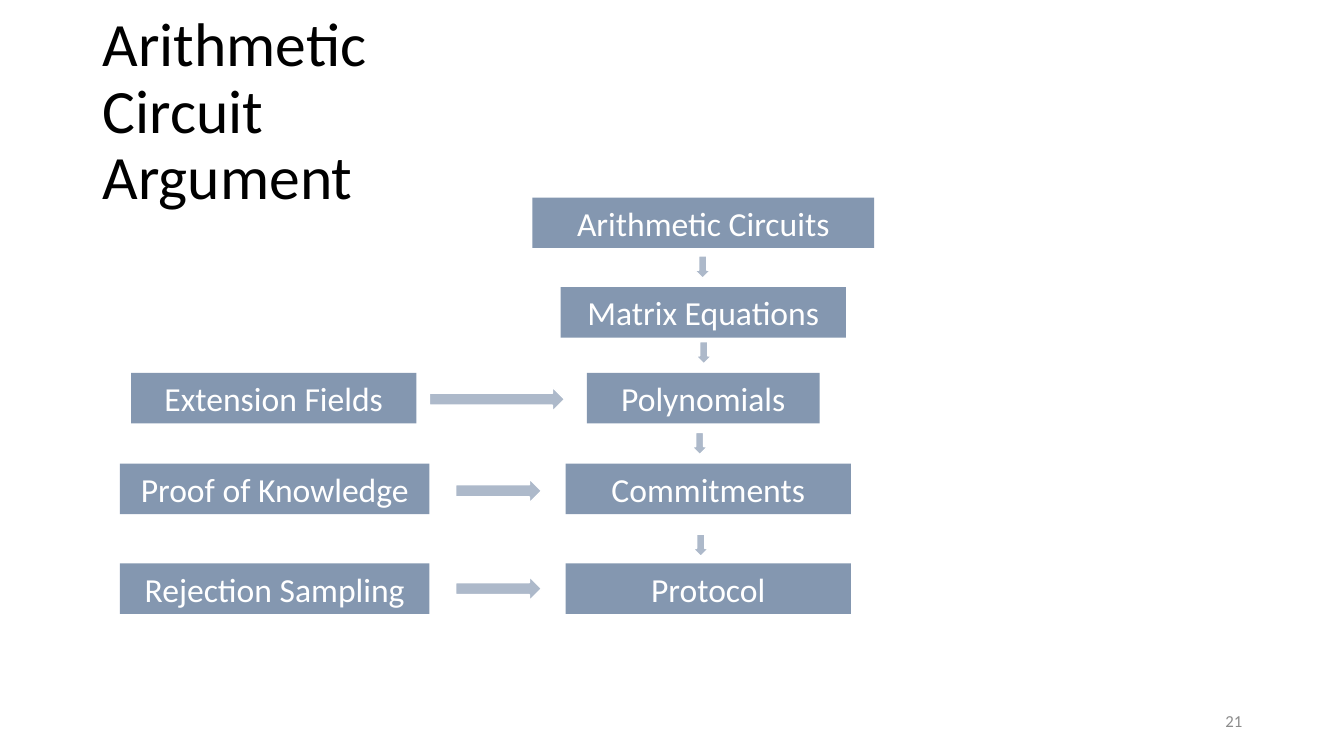
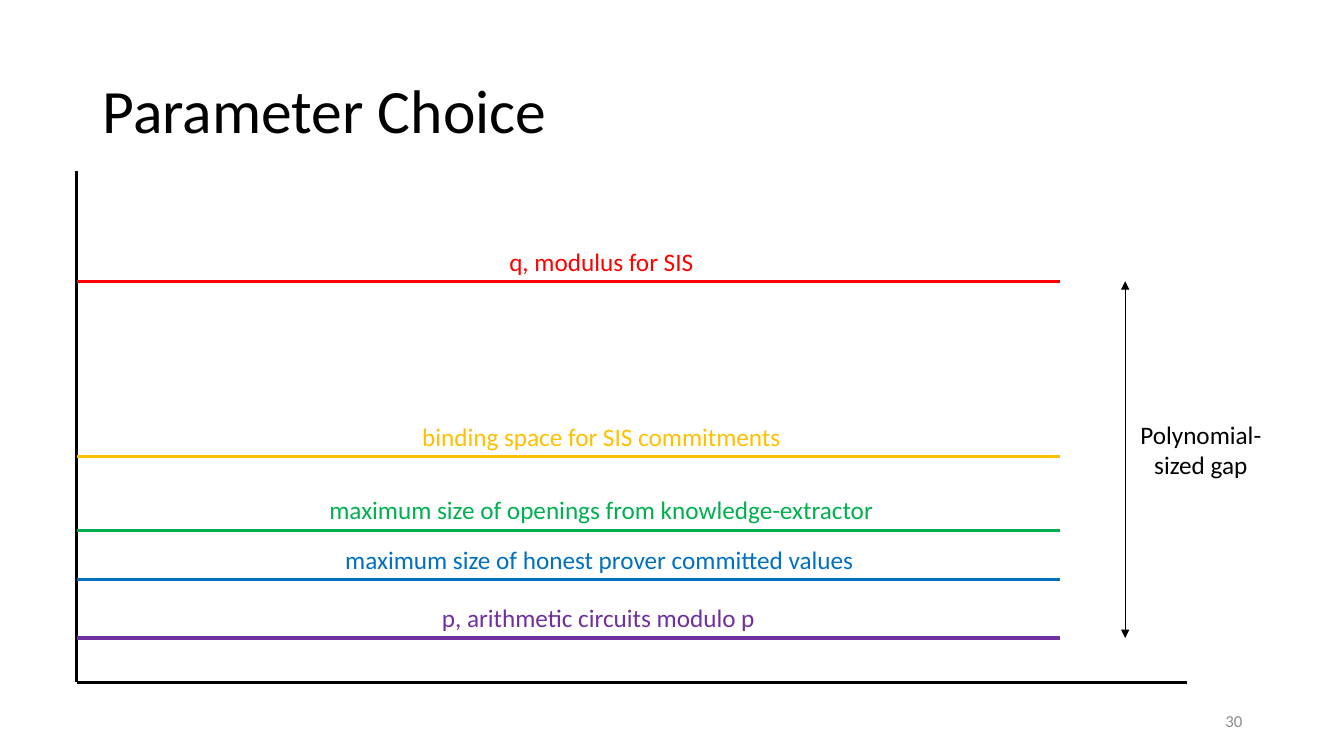
import dataclasses

import lxml.etree
import pptx
import pptx.dml.color
import pptx.enum.shapes
import pptx.enum.text
import pptx.oxml.ns
import pptx.util

Inches = pptx.util.Inches
Shapes = pptx.enum.shapes.MSO_SHAPE
Align = pptx.enum.text.PP_ALIGN
Anchor = pptx.enum.text.MSO_ANCHOR


@dataclasses.dataclass(frozen=True)
class Theme:
    font: str = "Calibri"
    title_size: int = 44
    step_size: int = 24
    label_size: int = 18
    number_size: int = 12
    axis_width: float = 2.25
    thin_width: float = 0.5
    arrow_outline: float = 1
    ink: str = "000000"
    paper: str = "FFFFFF"
    muted: str = "8C8C8C"
    step: str = "8497B0"
    arrow: str = "ADB9CA"
    red: str = "FF0000"
    amber: str = "FFC000"
    green: str = "00B050"
    blue: str = "0070C0"
    purple: str = "7030A0"


@dataclasses.dataclass(frozen=True)
class Box:
    left: float
    top: float
    width: float
    height: float

    def inner(self, left, top, width, height):
        """Return a box whose place is given from this box's corner."""
        return Box(self.left + left, self.top + top, width, height)

    def lengths(self):
        return [Inches(value) for value in dataclasses.astuple(self)]


THEME = Theme()
TITLE_BOX = Box(0.92, 0.4, 11.5, 1.45)
NUMBER_BOX = Box(9.42, 6.95, 3, 0.4)
FLOW_BOX = Box(1.19, 1.96, 7.48, 4.13)
LEVELS_BOX = Box(0.76, 1.7, 11.01, 5.07)


def rgb(color):
    return pptx.dml.color.RGBColor.from_string(color)


def set_text(shape, text, size, color, align=Align.CENTER, anchor=Anchor.TOP, grow=True):
    frame = shape.text_frame
    frame.word_wrap = True
    frame.vertical_anchor = anchor
    auto_size = pptx.enum.text.MSO_AUTO_SIZE
    frame.auto_size = auto_size.SHAPE_TO_FIT_TEXT if grow else auto_size.NONE
    paragraph = frame.paragraphs[0]
    paragraph.text = text
    paragraph.alignment = align
    paragraph.font.name = THEME.font
    paragraph.font.size = pptx.util.Pt(size)
    paragraph.font.color.rgb = rgb(color)
    return paragraph


def add_text(slide, box, *text_arguments, **text_options):
    shape = slide.shapes.add_textbox(*box.lengths())
    return set_text(shape, *text_arguments, **text_options)


def add_filled(slide, kind, box, fill, outline=None):
    shape = slide.shapes.add_shape(kind, *box.lengths())
    shape.shadow.inherit = False
    shape.fill.solid()
    shape.fill.fore_color.rgb = rgb(fill)
    if outline:
        shape.line.color.rgb = rgb(outline)
        shape.line.width = pptx.util.Pt(THEME.arrow_outline)
    else:
        shape.line.fill.background()
    return shape


def add_line(slide, box, color, width, arrowheads=False):
    """Draw a line from the box's top left to its bottom right corner."""
    line = slide.shapes.add_connector(
        pptx.enum.shapes.MSO_CONNECTOR.STRAIGHT,
        Inches(box.left), Inches(box.top),
        Inches(box.left + box.width), Inches(box.top + box.height))
    line.line.color.rgb = rgb(color)
    line.line.width = pptx.util.Pt(width)
    qualified = pptx.oxml.ns.qn
    if arrowheads:
        for end in ("a:headEnd", "a:tailEnd"):
            lxml.etree.SubElement(line.line._get_or_add_ln(), qualified(end), type="triangle")
    lxml.etree.SubElement(line._element.spPr, qualified("a:effectLst"))


def add_titled_slide(presentation, title, number):
    slide = presentation.slides.add_slide(presentation.slide_layouts[6])
    paragraph = add_text(slide, TITLE_BOX, title, THEME.title_size, THEME.ink,
                         align=Align.LEFT, anchor=Anchor.MIDDLE, grow=False)
    paragraph.line_spacing = 0.9
    add_text(slide, NUMBER_BOX, str(number), THEME.number_size, THEME.muted,
             align=Align.RIGHT, anchor=Anchor.MIDDLE, grow=False)
    return slide


def add_flow(slide, box):
    step_height = 0.5
    # text, left, top, width
    steps = [
        ("Arithmetic Circuits", 4.09, 0, 3.39),
        ("Matrix Equations", 4.37, 0.89, 2.83),
        ("Polynomials", 4.63, 1.74, 2.31),
        ("Commitments", 4.42, 2.64, 2.83),
        ("Protocol", 4.42, 3.63, 2.83),
        ("Extension Fields", 0.11, 1.74, 2.83),
        ("Proof of Knowledge", 0, 2.64, 3.07),
        ("Rejection Sampling", 0, 3.63, 3.07),
    ]
    for text, left, top, width in steps:
        shape = add_filled(slide, Shapes.RECTANGLE,
                           box.inner(left, top, width, step_height), THEME.step)
        set_text(shape, text, THEME.step_size, THEME.paper)

    down_arrows = [(5.7, 0.58), (5.71, 1.43), (5.67, 2.33), (5.68, 3.34)]
    right_arrows = [(3.07, 1.88, 1.34), (3.33, 2.79, 0.85), (3.33, 3.76, 0.85)]
    arrows = [(Shapes.DOWN_ARROW, box.inner(left, top, 0.16, 0.22))
              for left, top in down_arrows]
    arrows += [(Shapes.RIGHT_ARROW, box.inner(left, top, width, 0.24))
               for left, top, width in right_arrows]
    for kind, arrow_box in arrows:
        add_filled(slide, kind, arrow_box, THEME.arrow, THEME.paper)


def add_levels(slide, box):
    """Draw the axes, the labelled levels and the gap between the outer two."""
    level_width, label_width, label_height = 9.75, 6.13, 0.4
    # text, label left, level, color
    levels = [
        ("q, modulus for SIS", 2.14, 1.09, THEME.red),
        ("binding space for SIS commitments", 2.14, 2.83, THEME.amber),
        ("maximum size of openings from knowledge-extractor", 2.14, 3.56, THEME.green),
        ("maximum size of honest prover committed values", 2.12, 4.05, THEME.blue),
        ("p, arithmetic circuits modulo p", 2.11, 4.63, THEME.purple),
    ]
    add_line(slide, box.inner(0, 0, 0, box.height), THEME.ink, THEME.axis_width)
    add_line(slide, box.inner(0, box.height, box.width, 0), THEME.ink, THEME.axis_width)
    for text, left, level, color in levels:
        add_line(slide, box.inner(0, level, level_width, 0), color, THEME.axis_width)
        add_text(slide, box.inner(left, level - label_height, label_width, label_height),
                 text, THEME.label_size, color)

    highest, lowest = levels[0][2], levels[-1][2]
    add_line(slide, box.inner(10.4, highest, 0, lowest - highest),
             THEME.ink, THEME.thin_width, arrowheads=True)
    add_text(slide, box.inner(10.34, 2.41, 1.62, 0.71),
             "Polynomial-sized gap", THEME.label_size, THEME.ink)


def main():
    presentation = pptx.Presentation()
    presentation.slide_width = Inches(13.33)
    presentation.slide_height = Inches(7.5)
    add_flow(add_titled_slide(presentation, "Arithmetic\nCircuit\nArgument", 21), FLOW_BOX)
    add_levels(add_titled_slide(presentation, "Parameter Choice", 30), LEVELS_BOX)
    presentation.save("out.pptx")


if __name__ == "__main__":
    main()
